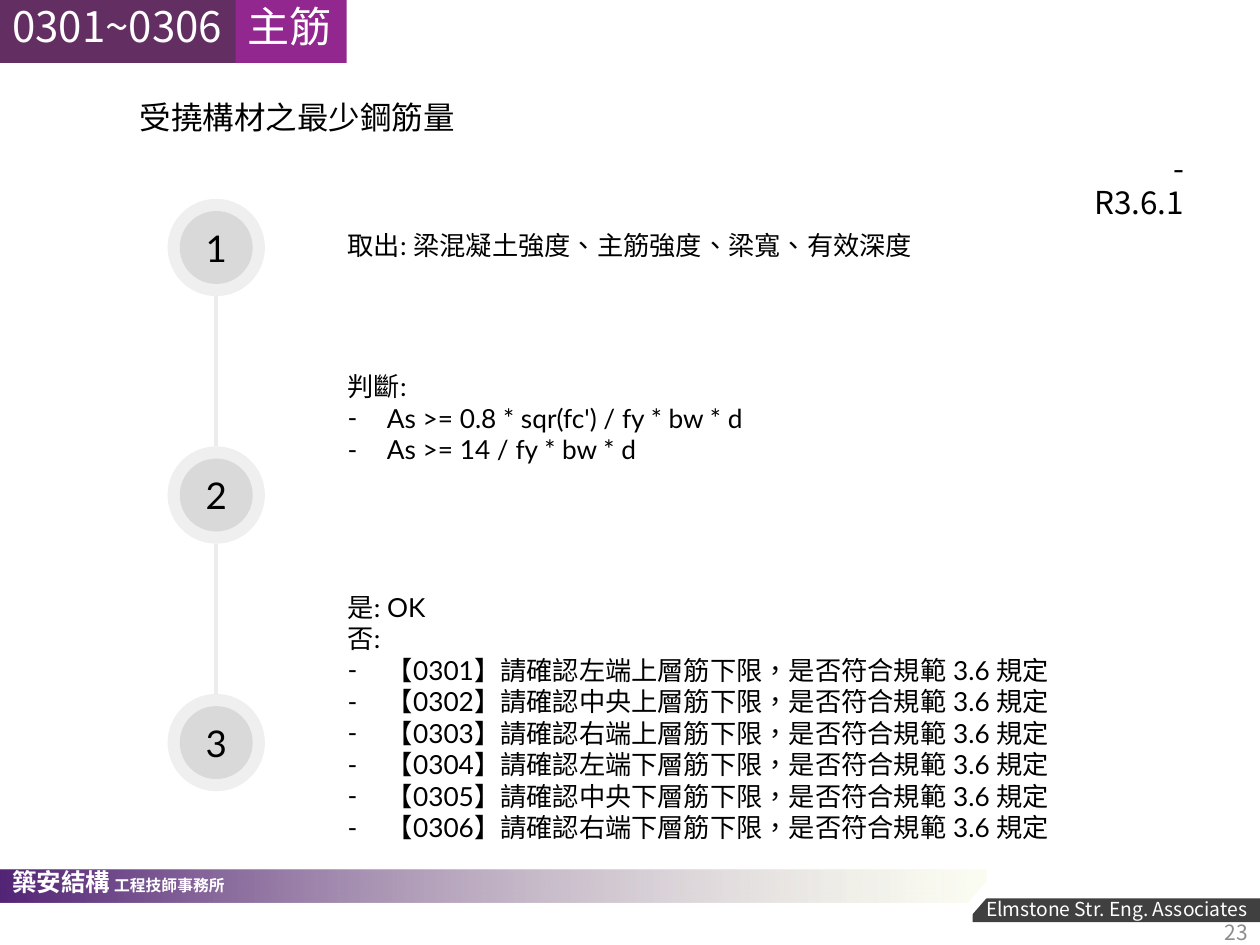
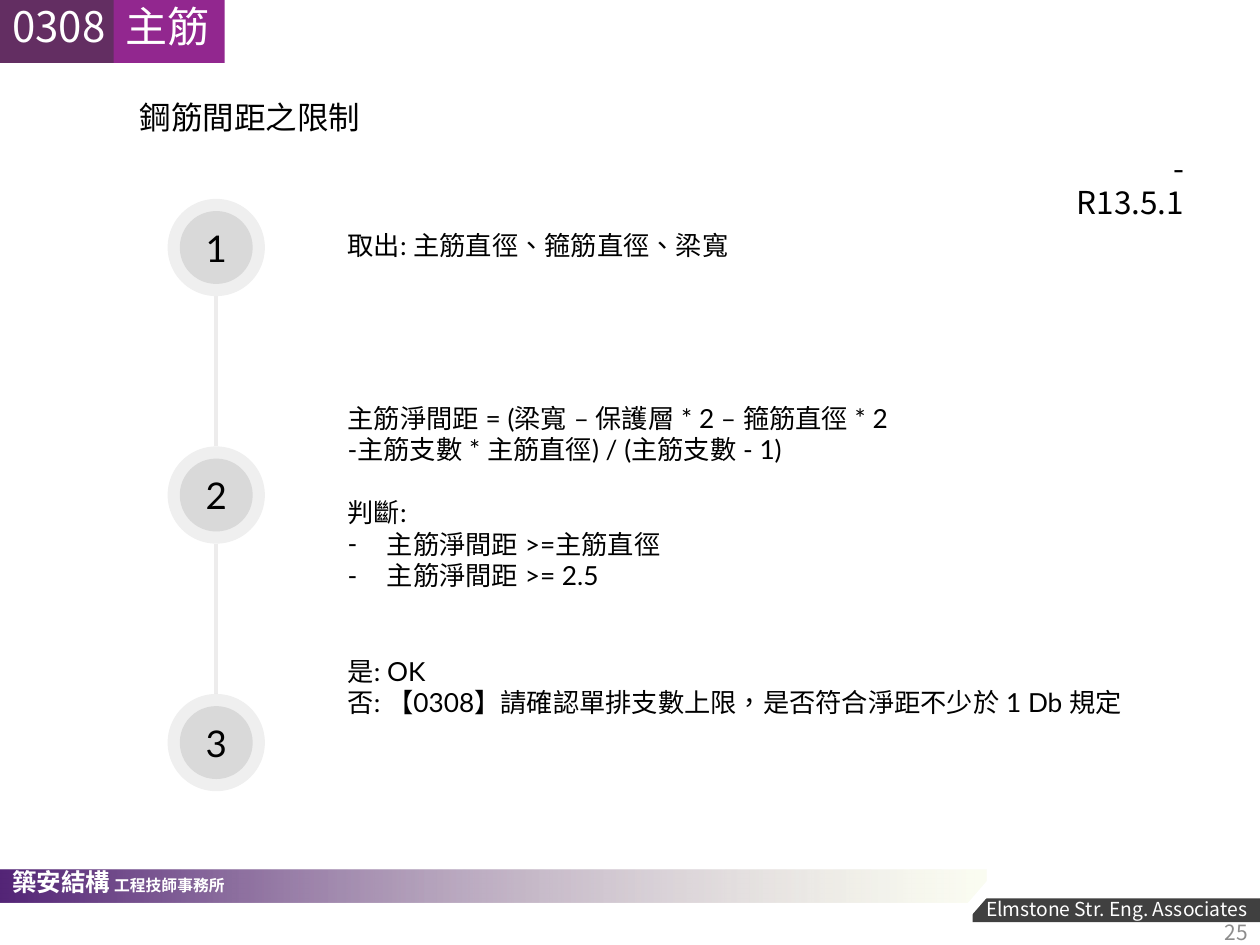
from dataclasses import dataclass

from lxml import etree
from pptx import Presentation
from pptx.dml.color import RGBColor
from pptx.enum import lang, shapes, text
from pptx.oxml import ns
from pptx.util import Cm, Pt

HEAD_FONT, BODY_FONT = "Noto Sans CJK SC", "Lato"
BLACK, WHITE, GREY = "000000", "FFFFFF", "8C8C8C"
PLUM, PURPLE, CHARCOAL = "632E62", "92278F", "404040"
DISC, RAIL = "D9D9D9", "EDECEC"
BAND_START, BAND_END = "532476", "F5F9DF"

DISC_LEFT, DISC_TOP, DISC_PITCH = 3.38, 4.01, 4.99
OUTER, INNER = 1.96, 1.47
BODY_LEFT = 7.01
DASH_INDENT = 0.79
BODY_SIZE = 15

LEFT, CENTER, RIGHT = text.PP_ALIGN.LEFT, text.PP_ALIGN.CENTER, text.PP_ALIGN.RIGHT
TOP, MIDDLE = text.MSO_ANCHOR.TOP, text.MSO_ANCHOR.MIDDLE
RECT, OVAL = shapes.MSO_SHAPE.RECTANGLE, shapes.MSO_SHAPE.OVAL


@dataclass(frozen=True)
class Box:
    left: float
    top: float
    width: float
    height: float

    def emu(self) -> list:
        return [Cm(v) for v in (self.left, self.top, self.width, self.height)]


@dataclass(frozen=True)
class Style:
    size: float
    color: str = BLACK
    font: str = HEAD_FONT
    align: int = LEFT
    spacing: float = 0.9


@dataclass(frozen=True)
class Line:
    text: str
    dash: bool = False
    before: float = 0


@dataclass(frozen=True)
class Step:
    top: float
    width: float
    height: float
    lines: list


@dataclass(frozen=True)
class Page:
    number: str
    code: str
    code_width: float
    topic_left: float
    title: str
    clause: str
    clause_width: float
    steps: list


TAG = Style(24, WHITE)
TITLE = Style(18)
CLAUSE = Style(18, align=RIGHT)
BODY = Style(BODY_SIZE, font=BODY_FONT, spacing=1)
DIGIT = Style(21, font=BODY_FONT, align=CENTER, spacing=1)
FIRM = Style(14, WHITE)
FOOTER = Style(11, WHITE, align=RIGHT)
NUMBER = Style(12, GREY, align=RIGHT)


def rgb(color: str) -> RGBColor:
    return RGBColor.from_string(color)


def set_alpha(fill_element, percent: int) -> None:
    """Make the last colour below the element partly transparent."""
    color = list(fill_element.iter(ns.qn("a:srgbClr")))[-1]
    etree.SubElement(color, ns.qn("a:alpha")).set("val", str(percent * 1000))


def style_paragraph(p, style: Style) -> None:
    p.alignment = style.align
    p.line_spacing = style.spacing
    for r in p.runs:
        r.font.name = style.font
        r.font.size = Pt(style.size)
        r.font.color.rgb = rgb(style.color)
        r.font.language_id = lang.MSO_LANGUAGE_ID.TRADITIONAL_CHINESE
        latin = r.font._element.find(ns.qn("a:latin"))
        east_asian = etree.Element(ns.qn("a:ea"), typeface=style.font)
        latin.addnext(east_asian)


def add_dash(p) -> None:
    pPr = p._p.get_or_add_pPr()
    pPr.set("marL", str(Cm(DASH_INDENT)))
    pPr.set("indent", str(-Cm(DASH_INDENT)))
    etree.SubElement(pPr, ns.qn("a:buFont"), typeface=BODY_FONT)
    etree.SubElement(pPr, ns.qn("a:buChar"), char="-")


def write(sp, content: str, style: Style, anchor: int = TOP, wrap: bool = True) -> None:
    tf = sp.text_frame
    tf.word_wrap = wrap
    tf.vertical_anchor = anchor
    tf.text = content
    style_paragraph(tf.paragraphs[0], style)


def add_shape(parent, kind: int, box: Box, color: str):
    sp = parent.shapes.add_shape(kind, *box.emu())
    sp.shadow.inherit = False
    sp.fill.solid()
    sp.fill.fore_color.rgb = rgb(color)
    sp.line.fill.background()
    return sp


def add_text(s, box: Box, content: str, style: Style, anchor: int = TOP,
             wrap: bool = True):
    sp = s.shapes.add_textbox(*box.emu())
    write(sp, content, style, anchor, wrap)
    return sp


def add_footer(s, number: str) -> None:
    band = add_shape(s, RECT, Box(0, 17.53, 19.89, 0.66), BAND_START)
    band.fill.gradient()
    band.fill.gradient_angle = 0
    stops = band.fill.gradient_stops
    for stop, position, color in zip(stops, (0, 0.99), (BAND_START, BAND_END)):
        stop.position = position
        stop.color.rgb = rgb(color)
    set_alpha(band._element.spPr.find(ns.qn("a:gradFill")), 40)

    strip = add_shape(s, RECT, Box(19.61, 18.11, 5.79, 0.48), CHARCOAL)
    write(strip, "Elmstone Str. Eng. Associates", FOOTER, MIDDLE)

    firm = add_text(s, Box(0, 17.42, 11.23, 1.24), "築安結構", FIRM)
    p = firm.text_frame.paragraphs[0]
    p.add_run().text = " 工程技師事務所"
    style_paragraph(p, FIRM)
    p.runs[1].font.size = Pt(9)
    for r in p.runs:
        r.font.bold = True

    notch = add_shape(s, shapes.MSO_SHAPE.PARALLELOGRAM,
                      Box(19.08, 17.63, 1.22, 1.07), WHITE)
    notch.adjustments[0] = 0.87
    add_text(s, Box(19.69, 18.31, 5.72, 1.02), number, NUMBER, MIDDLE)


def add_tag(s, left: float, width: float, content: str, color: str) -> None:
    sp = add_shape(s, RECT, Box(left, 0, width, 1.27), color)
    write(sp, content, TAG, wrap=False)


def add_marker(s, index: int) -> None:
    """Draw a numbered disc with its halo."""
    top = DISC_TOP + index * DISC_PITCH
    inset = (OUTER - INNER) / 2
    group = s.shapes.add_group_shape()
    add_shape(group, OVAL, Box(DISC_LEFT + inset, top + inset, INNER, INNER), DISC)
    halo = add_shape(group, OVAL, Box(DISC_LEFT, top, OUTER, OUTER), DISC)
    set_alpha(halo._element.spPr.find(ns.qn("a:solidFill")), 42)
    write(halo, str(index + 1), DIGIT, MIDDLE)


def add_rail(s, index: int) -> None:
    """Join a disc to the one above it."""
    x = Cm(DISC_LEFT + OUTER / 2)
    bottom = DISC_TOP + index * DISC_PITCH
    cn = s.shapes.add_connector(shapes.MSO_CONNECTOR.STRAIGHT, x,
                                Cm(bottom - DISC_PITCH + OUTER), x, Cm(bottom))
    cn.line.color.rgb = rgb(RAIL)
    cn.line.width = Pt(2.25)
    etree.SubElement(cn._element.spPr, ns.qn("a:effectLst"))


def add_step_text(s, step: Step) -> None:
    sp = s.shapes.add_textbox(*Box(BODY_LEFT, step.top, step.width, step.height).emu())
    tf = sp.text_frame
    tf.word_wrap = True
    tf.margin_left = 0
    for i, line in enumerate(step.lines):
        p = tf.add_paragraph() if i else tf.paragraphs[0]
        p.text = line.text
        style_paragraph(p, BODY)
        if line.before:
            p.space_before = Pt(line.before)
        if line.dash:
            add_dash(p)


def add_page(prs, page: Page) -> None:
    s = prs.slides.add_slide(prs.slide_layouts[6])
    add_footer(s, page.number)
    add_text(s, Box(2.57, 1.93, 7, 1.02), page.title, TITLE)
    for i, step in enumerate(page.steps):
        if i:
            add_rail(s, i)
        add_marker(s, i)
        add_step_text(s, step)
    add_text(s, Box(24.12 - page.clause_width, 2.97, page.clause_width, 1.02),
             page.clause, CLAUSE)
    add_tag(s, 0, page.code_width, page.code, PLUM)
    add_tag(s, page.topic_left, 2.24, "主筋", PURPLE)


BAR_PLACES = [place + layer for layer in ("上", "下") for place in ("左端", "中央", "右端")]
MINIMUM_WARNINGS = [
    Line(f"【{code:04}】請確認{place}層筋下限，是否符合規範 3.6 規定", dash=True)
    for code, place in enumerate(BAR_PLACES, start=301)
]

PAGES = [
    Page("23", "0301~0306", 4.78, 4.75, "受撓構材之最少鋼筋量", "- R3.6.1", 2.6, [
        Step(4.5, 12.67, 0.89, [Line("取出: 梁混凝土強度、主筋強度、梁寬、有效深度")]),
        Step(7.34, 11.43, 2.18, [
            Line("判斷:"),
            Line("As >= 0.8 * sqr(fc') / fy * bw * d", dash=True),
            Line("As >= 14 / fy * bw * d", dash=True),
        ]),
        Step(11.79, 16.1, 5.38, [Line("是: OK"), Line("否:"), *MINIMUM_WARNINGS]),
    ]),
    Page("25", "0308", 2.41, 2.29, "鋼筋間距之限制", "- R13.5.1", 2.85, [
        Step(4.5, 10.82, 0.89, [Line("取出: 主筋直徑、箍筋直徑、梁寬")]),
        Step(7.98, 11.43, 4.11, [
            Line("主筋淨間距 = (梁寬 – 保護層 * 2 – 箍筋直徑 * 2 -主筋支數 * 主筋直徑)"
                 " / (主筋支數 - 1)"),
            Line("判斷:", before=BODY_SIZE * 1.2),
            Line("主筋淨間距 >=主筋直徑", dash=True),
            Line("主筋淨間距 >= 2.5", dash=True),
        ]),
        Step(13.08, 16.1, 1.55, [
            Line("是: OK"),
            Line("否: 【0308】請確認單排支數上限，是否符合淨距不少於 1 Db 規定"),
        ]),
    ]),
]


def main() -> None:
    prs = Presentation()
    prs.slide_width, prs.slide_height = Cm(25.4), Cm(19.05)
    for page in PAGES:
        add_page(prs, page)
    prs.save("out.pptx")


if __name__ == "__main__":
    main()
